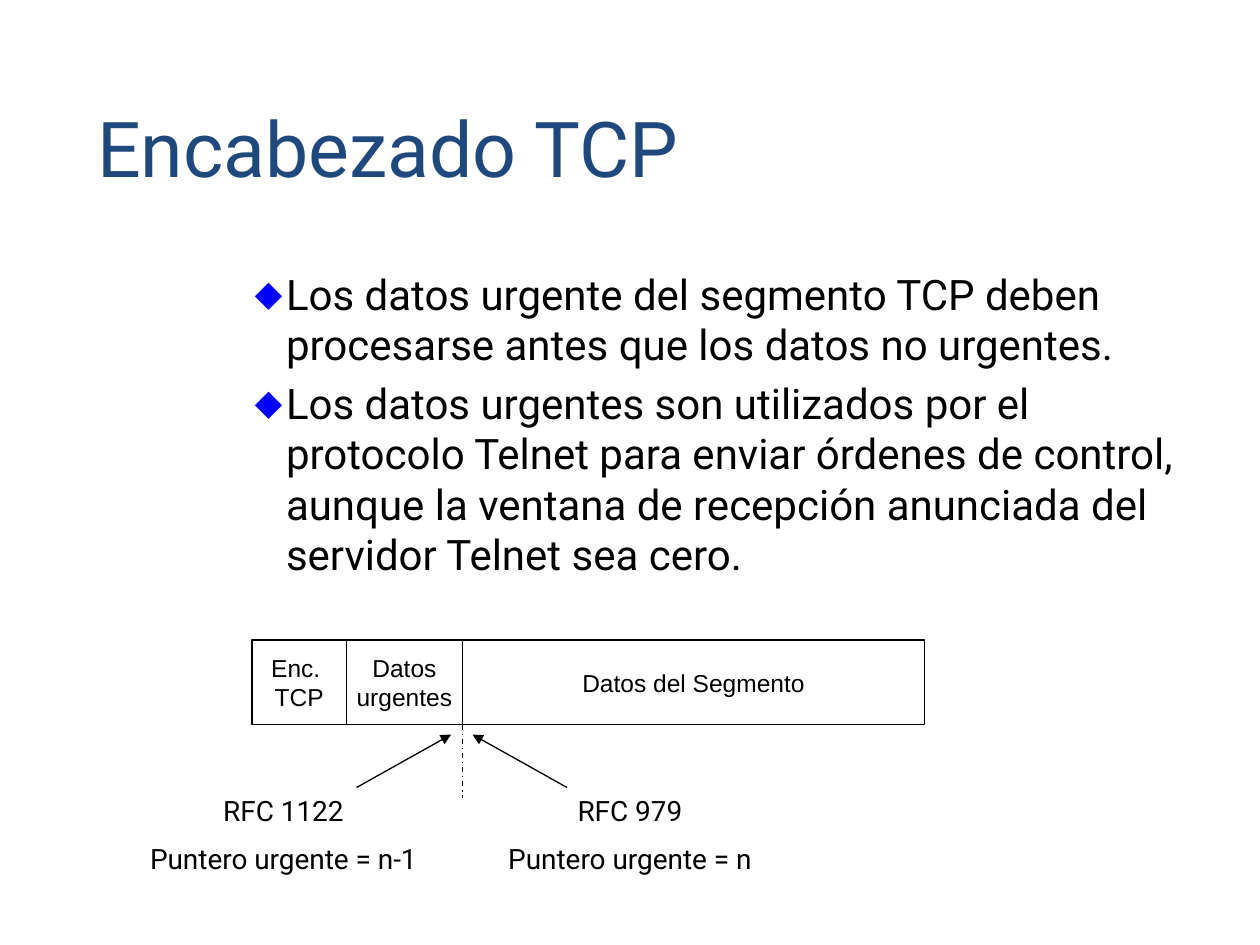
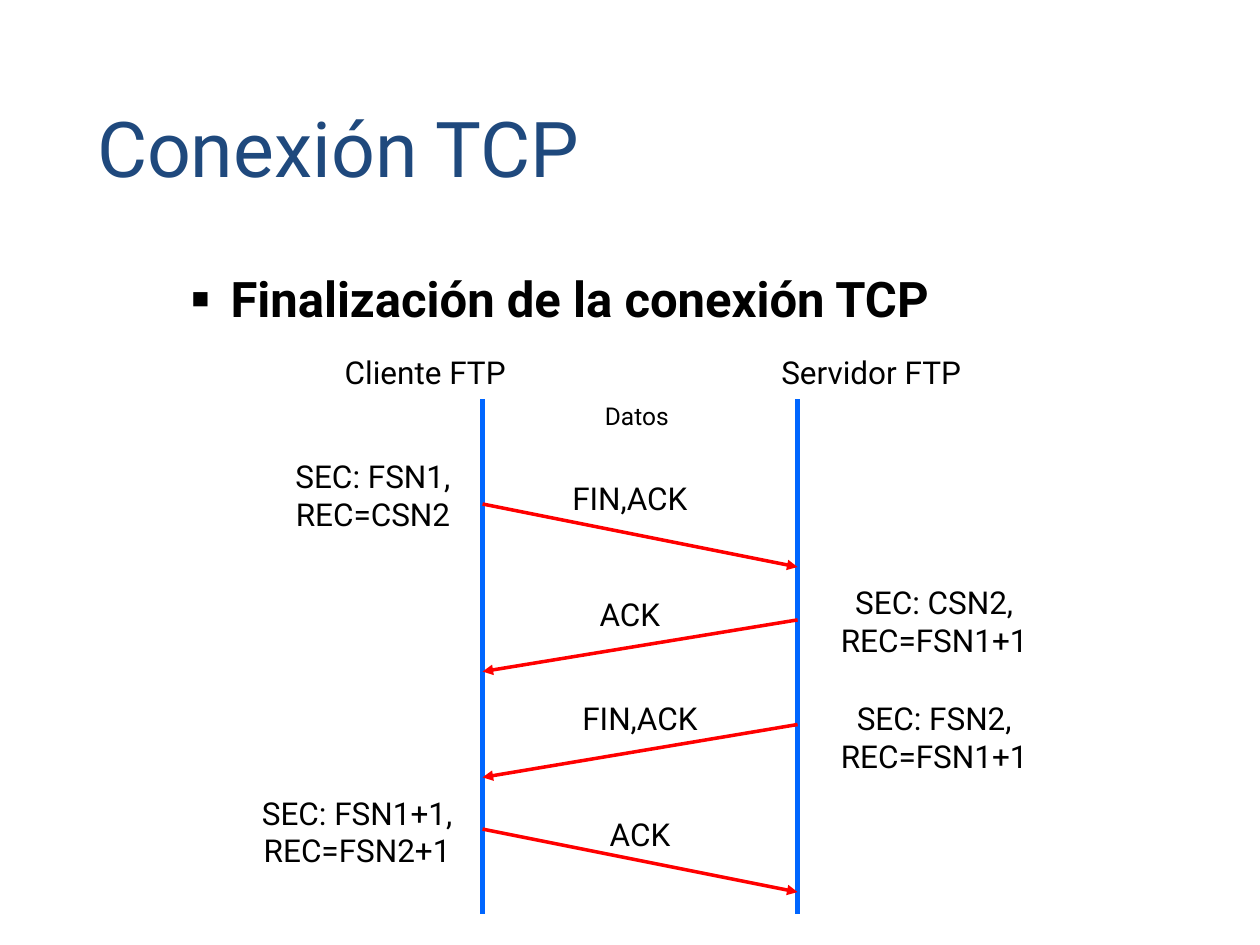
import dataclasses
import typing

import pptx
import pptx.dml.color
import pptx.enum.dml
import pptx.enum.shapes
import pptx.enum.text
import pptx.oxml.ns
import pptx.oxml.xmlchemy
import pptx.util

Inches = pptx.util.Inches
Pt = pptx.util.Pt
Align = pptx.enum.text.PP_ALIGN
Anchor = pptx.enum.text.MSO_ANCHOR
Fit = pptx.enum.text.MSO_AUTO_SIZE

BLACK, WHITE, NAVY = "000000", "FFFFFF", "1F497D"
BLUE, RAIL, RED = "0000FF", "0066FF", "FF0000"
FONT = "Roboto"
TITLE = (0.67, 0.33, 8.5, 1.25)
BODY = (0.92, 2.08, 8.5, 4.5)


@dataclasses.dataclass
class Bullet:
    sign: str
    tint: str
    scale: int
    level: int
    left: float
    hang: float


@dataclasses.dataclass
class Field:
    left: float
    width: float
    lines: list[str]


@dataclasses.dataclass
class Label:
    left: float
    top: float
    width: float
    lines: list[str]
    size: int = 18
    height: float = 0.4


@dataclasses.dataclass
class Line:
    start: tuple[float, float]
    end: tuple[float, float]
    tint: str = BLACK
    width: float = 0.75
    arrow: bool = False
    dashed: bool = False


def color(code: str) -> pptx.dml.color.RGBColor:
    return pptx.dml.color.RGBColor.from_string(code)


def apply(target: typing.Any, values: dict) -> None:
    for name, value in values.items():
        setattr(target, name, value)


def place(shape: typing.Any, box: tuple) -> None:
    names = ("left", "top", "width", "height")
    apply(shape, {name: Inches(size) for name, size in zip(names, box)})


def add_node(parent: typing.Any, tag: str, **values: str) -> None:
    node = pptx.oxml.xmlchemy.OxmlElement(tag)
    for name, value in values.items():
        node.set(name, value)
    parent.append(node)


def add_bullet(para: typing.Any, mark: Bullet) -> None:
    para.level = mark.level
    props = para._p.get_or_add_pPr()
    props.set("marL", str(Inches(mark.left)))
    props.set("indent", str(Inches(-mark.hang)))
    add_node(props, "a:buClr")
    add_node(props[-1], "a:srgbClr", val=mark.tint)
    add_node(props, "a:buSzPct", val=str(mark.scale * 1000))
    add_node(props, "a:buChar", char=mark.sign)


def write(frame: typing.Any, lines: list[str], size: int, tint: str = BLACK,
          font: str = FONT, align: typing.Any = Align.CENTER, gap: float = 0,
          bold: bool = False, mark: Bullet | None = None) -> None:
    for index, line in enumerate(lines):
        para = frame.add_paragraph() if index else frame.paragraphs[0]
        if mark:
            add_bullet(para, mark)
        apply(para, {"alignment": align, "space_before": Pt(gap if index else 0)})
        run = para.add_run()
        run.text = line
        apply(run.font, {"name": font, "size": Pt(size), "bold": bold})
        run.font.color.rgb = color(tint)


def add_slide(deck: typing.Any, title: str, lines: list[str], size: int,
              mark: Bullet, bold: bool = False) -> typing.Any:
    slide = deck.slides.add_slide(deck.slide_layouts[1])
    head, body = slide.placeholders
    for shape, box, anchor in ((head, TITLE, Anchor.BOTTOM), (body, BODY, Anchor.TOP)):
        place(shape, box)
        apply(shape.text_frame, {"vertical_anchor": anchor, "word_wrap": True,
                                 "auto_size": Fit.NONE})
    write(head.text_frame, [title], 44, NAVY, align=Align.LEFT)
    write(body.text_frame, lines, size, align=Align.LEFT, gap=4.8, bold=bold, mark=mark)
    return slide


def add_field(slide: typing.Any, field: Field) -> None:
    shape = slide.shapes.add_shape(
        pptx.enum.shapes.MSO_SHAPE.RECTANGLE, Inches(field.left), Inches(5.08),
        Inches(field.width), Inches(0.67))
    shape.shadow.inherit = False
    shape.fill.solid()
    shape.fill.fore_color.rgb = color(WHITE)
    shape.line.color.rgb = color(BLACK)
    shape.line.width = Pt(0.75)
    apply(shape.text_frame, {"vertical_anchor": Anchor.MIDDLE, "word_wrap": False})
    write(shape.text_frame, field.lines, 14, font="Arial")


def add_label(slide: typing.Any, label: Label) -> None:
    box = slide.shapes.add_textbox(Inches(label.left), Inches(label.top),
                                   Inches(label.width), Inches(label.height))
    apply(box.text_frame, {"word_wrap": True, "auto_size": Fit.SHAPE_TO_FIT_TEXT})
    write(box.text_frame, label.lines, label.size, gap=label.size / 2)


def add_line(slide: typing.Any, line: Line) -> None:
    ends = [Inches(value) for value in (*line.start, *line.end)]
    shape = slide.shapes.add_connector(
        pptx.enum.shapes.MSO_CONNECTOR.STRAIGHT, *ends)
    shape.line.color.rgb = color(line.tint)
    shape.line.width = Pt(line.width)
    if line.dashed:
        shape.line.dash_style = pptx.enum.dml.MSO_LINE.DASH_DOT
    props = shape._element.spPr
    if line.arrow:
        add_node(props.find(pptx.oxml.ns.qn("a:ln")), "a:tailEnd", type="triangle")
    add_node(props, "a:effectLst")


def draw_header(deck: typing.Any) -> None:
    slide = add_slide(deck, "Encabezado TCP", [
        "Los datos urgente del segmento TCP deben procesarse antes que los datos "
        "no urgentes.",
        "Los datos urgentes son utilizados por el protocolo Telnet para enviar "
        "órdenes de control, aunque la ventana de recepción anunciada del "
        "servidor Telnet sea cero.",
    ], 24, Bullet("⬥", BLUE, 95, 2, 1.25, 0.25))
    split = 3.67
    for field in (
        Field(split, 3.67, ["Datos del Segmento"]),
        Field(2, 0.75, ["Enc. ", "TCP"]),
        Field(2.75, 0.92, ["Datos", "urgentes"]),
    ):
        add_field(slide, field)
    for label in (
        Label(1, 6.25, 2.5, ["RFC 1122", "Puntero urgente = n-1"], 16, 0.77),
        Label(3.75, 6.25, 2.5, ["RFC 979", "Puntero urgente = n"], 16, 0.77),
    ):
        add_label(slide, label)
    for line in (
        Line((split, 5.75), (split, 6.33), dashed=True),
        Line((2.83, 6.25), (3.58, 5.83), arrow=True),
        Line((4.5, 6.25), (3.75, 5.83), arrow=True),
    ):
        add_line(slide, line)


def draw_close(deck: typing.Any) -> None:
    slide = add_slide(deck, "Conexión TCP", ["Finalización de la conexión TCP"],
                      28, Bullet("■", BLACK, 60, 1, 0.81, 0.31), bold=True)
    client, server = 3.83, 6.33
    for rail in (client, server):
        add_line(slide, Line((rail, 3.17), (rail, 7.25), RAIL, 3))
    for start, top, end, base in (
        (client, 4, server, 4.5),
        (server, 4.92, client, 5.33),
        (server, 5.75, client, 6.17),
        (client, 6.58, server, 7.08),
    ):
        add_line(slide, Line((start, top), (end, base), RED, 2, arrow=True))
    for label in (
        Label(2.5, 2.75, 1.75, ["Cliente FTP"]),
        Label(6.08, 2.75, 1.67, ["Servidor FTP"]),
        Label(4.22, 3.13, 1.67, ["Datos"], 14),
        Label(4, 3.75, 2, ["FIN,ACK"]),
        Label(4, 4.67, 2, ["ACK"]),
        Label(4.08, 5.5, 2, ["FIN,ACK"]),
        Label(4.08, 6.42, 2, ["ACK"]),
        Label(2.17, 3.58, 1.58, ["SEC: FSN1, REC=CSN2"], height=0.7),
        Label(6.5, 4.58, 1.83, ["SEC: CSN2, REC=FSN1+1"], height=0.7),
        Label(6.5, 5.5, 1.83, ["SEC: FSN2, REC=FSN1+1"], height=0.7),
        Label(1.92, 6.25, 1.83, ["SEC: FSN1+1, REC=FSN2+1"], height=0.7),
    ):
        add_label(slide, label)


def main() -> None:
    deck = pptx.Presentation()
    apply(deck, {"slide_width": Inches(10), "slide_height": Inches(7.5)})
    draw_header(deck)
    draw_close(deck)
    deck.save("out.pptx")


if __name__ == "__main__":
    main()
